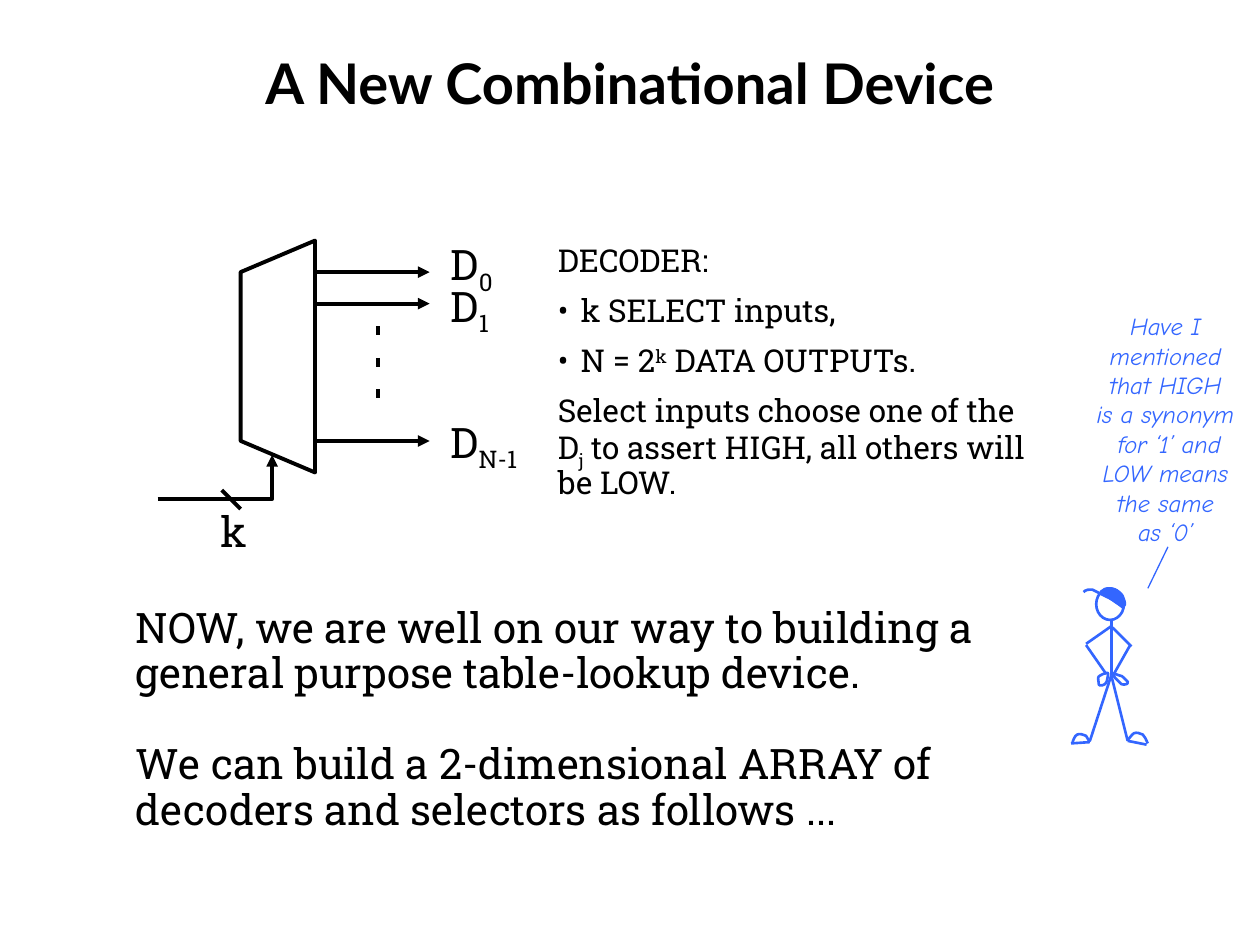
"""Build a slide that introduces the decoder as a combinational device."""
from dataclasses import dataclass
from typing import Any, Optional

import lxml.etree
import pptx
import pptx.dml.color
import pptx.enum.shapes
import pptx.enum.text
import pptx.oxml.ns
import pptx.util

Inches = pptx.util.Inches
Pt = pptx.util.Pt
RGBColor = pptx.dml.color.RGBColor
PP_ALIGN = pptx.enum.text.PP_ALIGN
qn = pptx.oxml.ns.qn

BLACK = RGBColor(0x00, 0x00, 0x00)
BLUE = RGBColor(0x33, 0x66, 0xFF)
BODY_FONT = "Roboto Slab"
SUBSCRIPT = -25
SUPERSCRIPT = 30

Point = tuple[float, float]


@dataclass(frozen=True)
class Pen:
    color: RGBColor
    width: float


@dataclass(frozen=True)
class Piece:
    text: str
    baseline: int = 0


@dataclass(frozen=True)
class TextLine:
    pieces: tuple[Piece, ...]
    space_before: float = 0
    bullet: bool = False


@dataclass(frozen=True)
class Curve:
    points: tuple[Point, ...]
    closed: bool = False
    fill: Optional[RGBColor] = None


@dataclass(frozen=True)
class Output:
    subscript: str
    wire_y: float
    label_top: float
    label_width: float


WIRE = Pen(BLACK, 2.25)
FIGURE = Pen(BLUE, 1.5)
POINTER = Pen(BLUE, 0.75)

OUTPUTS = (
    Output("0", 2.16, 1.85, 0.61),
    Output("1", 2.41, 2.18, 0.61),
    Output("N-1", 3.5, 3.26, 0.86),
)

DECODER_TEXT = (
    TextLine((Piece("DECODER:"),), 9),
    TextLine((Piece("k SELECT inputs,"),), 9, True),
    TextLine((Piece("N = 2"), Piece("k", SUPERSCRIPT), Piece(" DATA OUTPUTs.")), 9, True),
    TextLine((Piece("Select inputs choose one of the D"), Piece("j", SUBSCRIPT),
              Piece(" to assert HIGH, all others will be LOW.")), 9),
)

SUMMARY_TEXT = (
    TextLine((Piece("NOW, we are well on our way to building a general purpose table-lookup device."),)),
    TextLine((Piece("We can build a 2-dimensional ARRAY of decoders and selectors as follows ..."),), 26),
)

SPEECH = "Have I\vmentioned\vthat HIGH\vis a synonym\v for ‘1’ and\vLOW means\vthe same\vas ‘0’"

LIMBS = (
    ((8.82, 4.92), (8.82, 5.36)),
    ((8.82, 5.36), (8.65, 5.88)),
    ((8.82, 5.36), (8.95, 5.88)),
    ((8.65, 5.89), (8.5, 5.9)),
    ((8.95, 5.88), (9.1, 5.91)),
    ((8.82, 4.97), (8.62, 5.11)),
    ((8.62, 5.12), (8.78, 5.35)),
    ((8.83, 4.98), (8.98, 5.13)),
    ((8.97, 5.12), (8.84, 5.35)),
)

LEFT_FOOT = Curve(((8.51, 5.9), (8.52, 5.87), (8.53, 5.84), (8.55, 5.83), (8.57, 5.82),
                   (8.6, 5.83), (8.62, 5.84), (8.63, 5.85), (8.64, 5.88), (8.65, 5.89)))
RIGHT_FOOT = Curve(((9.11, 5.9), (9.09, 5.86), (9.09, 5.85), (9.07, 5.83), (9.05, 5.82),
                    (9.02, 5.81), (9, 5.82), (8.98, 5.83), (8.96, 5.87), (8.95, 5.87)))
LEFT_HAND = Curve(((8.79, 5.34), (8.77, 5.34), (8.73, 5.36), (8.72, 5.37), (8.71, 5.38),
                   (8.72, 5.41), (8.72, 5.42), (8.72, 5.43), (8.72, 5.44), (8.73, 5.44),
                   (8.74, 5.44), (8.76, 5.44), (8.77, 5.43), (8.78, 5.42), (8.79, 5.4),
                   (8.79, 5.38), (8.79, 5.37), (8.8, 5.34), (8.79, 5.34)), True)
RIGHT_HAND = Curve(((8.83, 5.35), (8.83, 5.34), (8.86, 5.35), (8.88, 5.36), (8.9, 5.36),
                    (8.91, 5.37), (8.92, 5.38), (8.94, 5.39), (8.94, 5.4), (8.95, 5.41),
                    (8.95, 5.42), (8.95, 5.43), (8.94, 5.43), (8.93, 5.44), (8.91, 5.43),
                    (8.9, 5.43), (8.89, 5.42), (8.88, 5.41), (8.87, 5.4), (8.86, 5.39),
                    (8.83, 5.36), (8.83, 5.35)), True)
CAP_BRIM = Curve(((8.91, 4.82), (8.87, 4.79), (8.82, 4.75), (8.77, 4.73), (8.73, 4.71),
                  (8.69, 4.69), (8.67, 4.68), (8.64, 4.68), (8.62, 4.68), (8.61, 4.69),
                  (8.6, 4.69), (8.6, 4.7), (8.6, 4.7)))
CAP = Curve(((8.92, 4.81), (8.94, 4.8), (8.92, 4.76), (8.91, 4.73), (8.9, 4.71),
             (8.87, 4.69), (8.85, 4.68), (8.83, 4.67), (8.81, 4.67), (8.79, 4.67),
             (8.77, 4.67), (8.76, 4.68), (8.75, 4.69), (8.75, 4.69), (8.73, 4.69),
             (8.74, 4.7), (8.75, 4.72), (8.8, 4.74), (8.83, 4.76), (8.85, 4.78),
             (8.91, 4.81), (8.92, 4.81)), True, BLUE)


def style_line(shape: Any, pen: Pen, arrow: bool = False) -> None:
    shape.line.color.rgb = pen.color
    shape.line.width = Pt(pen.width)
    if arrow:
        lxml.etree.SubElement(shape.line._get_or_add_ln(), qn("a:tailEnd"), type="triangle")


def draw_line(shapes: Any, start: Point, end: Point, pen: Pen, arrow: bool = False) -> None:
    ends = [Inches(value) for value in (*start, *end)]
    connector = shapes.add_connector(pptx.enum.shapes.MSO_CONNECTOR.STRAIGHT, *ends)
    style_line(connector, pen, arrow)
    lxml.etree.SubElement(connector._element.spPr, qn("a:effectLst"))


def style_shape(shape: Any, pen: Pen, fill: Optional[RGBColor] = None, arrow: bool = False) -> None:
    if fill is None:
        shape.fill.background()
    else:
        shape.fill.solid()
        shape.fill.fore_color.rgb = fill
    style_line(shape, pen, arrow)
    shape.shadow.inherit = False


def draw_outline(shapes: Any, points: tuple[Point, ...], pen: Pen, closed: bool = False,
                 fill: Optional[RGBColor] = None, arrow: bool = False) -> Any:
    corners = [(Inches(x), Inches(y)) for x, y in points]
    builder = shapes.build_freeform(*corners[0])
    builder.add_line_segments(corners[1:], close=closed)
    shape = builder.convert_to_shape()
    style_shape(shape, pen, fill, arrow)
    return shape


def draw_curve(shapes: Any, curve: Curve, pen: Pen) -> None:
    shape = draw_outline(shapes, curve.points, pen, curve.closed, curve.fill)
    segments = list(shape._element.iter(qn("a:lnTo")))
    for index in range(0, len(curve.points) - 1, 3):
        bezier = lxml.etree.Element(qn("a:cubicBezTo"))
        segments[index].addprevious(bezier)
        for segment in segments[index:index + 3]:
            bezier.append(segment[0])
            segment.getparent().remove(segment)


def format_font(font: Any, name: str, size: float, color: RGBColor) -> None:
    font.name, font.size, font.color.rgb = name, Pt(size), color


def add_text_box(shapes: Any, box: tuple[float, ...], wrap: bool) -> Any:
    text_frame = shapes.add_textbox(*(Inches(value) for value in box)).text_frame
    text_frame.word_wrap = wrap
    text_frame.auto_size = pptx.enum.text.MSO_AUTO_SIZE.SHAPE_TO_FIT_TEXT
    return text_frame


def draw_text(shapes: Any, box: tuple[float, ...], lines: tuple[TextLine, ...], size: float,
              wrap: bool = True) -> None:
    text_frame = add_text_box(shapes, box, wrap)
    for index, line in enumerate(lines):
        paragraph = text_frame.add_paragraph() if index else text_frame.paragraphs[0]
        paragraph.line_spacing = 0.9
        paragraph.space_before = Pt(line.space_before)
        if line.bullet:
            paragraph.level = 1
            properties = paragraph._p.get_or_add_pPr()
            properties.set("marL", str(Inches(0.18)))
            properties.set("indent", str(Inches(-0.18)))
            lxml.etree.SubElement(properties, qn("a:buFont"), typeface=BODY_FONT)
            lxml.etree.SubElement(properties, qn("a:buChar"), char="•")
        for piece in line.pieces:
            run = paragraph.add_run()
            run.text = piece.text
            format_font(run.font, BODY_FONT, size, BLACK)
            if piece.baseline:
                run._r.get_or_add_rPr().set("baseline", str(piece.baseline * 1000))


def draw_decoder(shapes: Any) -> None:
    draw_outline(shapes, ((1.91, 2.16), (1.91, 3.5), (2.5, 3.75), (2.5, 1.91), (1.91, 2.16)), WIRE)
    draw_outline(shapes, ((1.25, 3.96), (2.16, 3.96), (2.16, 3.61)), WIRE, arrow=True)
    draw_line(shapes, (1.76, 3.89), (1.91, 4.04), WIRE)
    draw_text(shapes, (1.65, 4.01, 0.41, 0.47), (TextLine((Piece("k"),)),), 24, False)
    for output in OUTPUTS:
        draw_line(shapes, (2.51, output.wire_y), (3.41, output.wire_y), WIRE, True)
        label = TextLine((Piece("D"), Piece(output.subscript, SUBSCRIPT)))
        draw_text(shapes, (3.48, output.label_top, output.label_width, 0.47), (label,), 24, False)
    for index in range(3):
        top = 2.59 + 0.25 * index
        draw_line(shapes, (3, top), (3, top + 0.07), WIRE)


def draw_speaker(shapes: Any) -> None:
    text_frame = add_text_box(shapes, (8.55, 2.42, 1.4, 1.99), False)
    paragraph = text_frame.paragraphs[0]
    paragraph.text = SPEECH
    paragraph.alignment = PP_ALIGN.CENTER
    for run in paragraph.runs:
        format_font(run.font, "Comic Neue", 14, BLUE)
        run.font.italic = True
    draw_line(shapes, (9.11, 4.67), (9.27, 4.34), POINTER)
    figure = shapes.add_group_shape().shapes
    for start, end in LIMBS:
        draw_line(figure, start, end, FIGURE)
    for curve in (LEFT_FOOT, RIGHT_FOOT, LEFT_HAND, RIGHT_HAND):
        draw_curve(figure, curve, FIGURE)
    head_box = [Inches(value) for value in (8.7, 4.67, 0.22, 0.25)]
    style_shape(figure.add_shape(pptx.enum.shapes.MSO_SHAPE.OVAL, *head_box), FIGURE)
    for curve in (CAP_BRIM, CAP):
        draw_curve(figure, curve, FIGURE)


def draw_title(title: Any) -> None:
    title.left, title.top, title.width, title.height = map(Inches, (0.5, 0.3, 9, 0.7))
    title.text_frame.text = "A New Combinational Device"
    title.text_frame.vertical_anchor = pptx.enum.text.MSO_ANCHOR.MIDDLE
    paragraph = title.text_frame.paragraphs[0]
    paragraph.alignment = PP_ALIGN.CENTER
    format_font(paragraph.runs[0].font, "Lato", 32, BLACK)
    paragraph.runs[0].font.bold = True


def main() -> None:
    presentation = pptx.Presentation()
    presentation.slide_width, presentation.slide_height = Inches(10), Inches(7.5)
    slide = presentation.slides.add_slide(presentation.slide_layouts[5])
    draw_title(slide.shapes.title)
    draw_decoder(slide.shapes)
    draw_text(slide.shapes, (4.33, 1.9, 4, 2.19), DECODER_TEXT, 18)
    draw_text(slide.shapes, (0.98, 4.77, 7.71, 1.92), SUMMARY_TEXT, 24)
    draw_speaker(slide.shapes)
    presentation.save("out.pptx")


if __name__ == "__main__":
    main()
